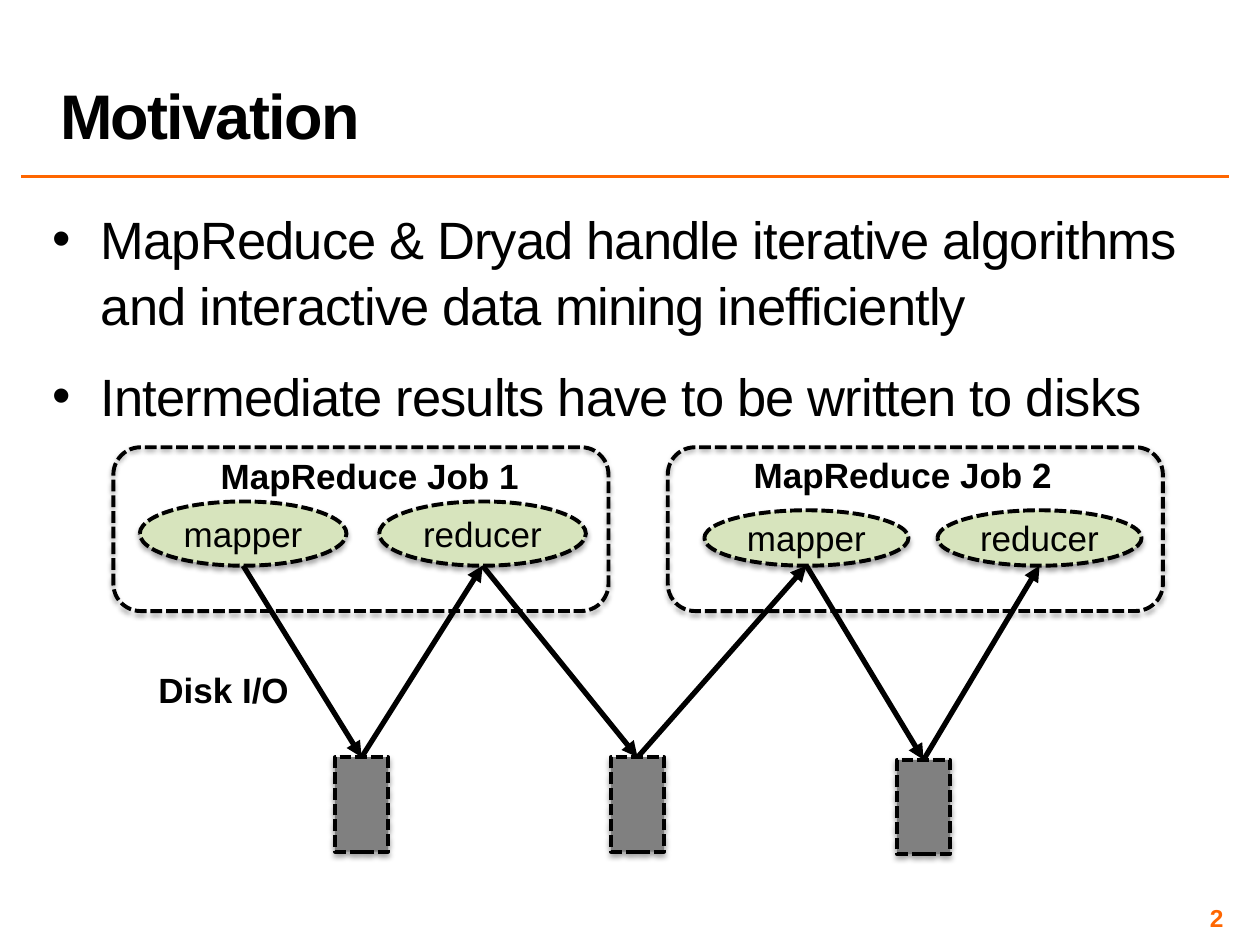
"""Build the Motivation slide on disk traffic between MapReduce jobs."""
import itertools

import pptx
import pptx.dml.color
import pptx.enum.dml
import pptx.enum.shapes
import pptx.enum.text
import pptx.oxml
import pptx.oxml.ns
import pptx.util

Inches = pptx.util.Inches
Pt = pptx.util.Pt
Align = pptx.enum.text.PP_ALIGN
Anchor = pptx.enum.text.MSO_ANCHOR
Shape = pptx.enum.shapes.MSO_SHAPE

BLACK = pptx.dml.color.RGBColor(0x00, 0x00, 0x00)
ORANGE = pptx.dml.color.RGBColor(0xFF, 0x66, 0x00)
GREEN = pptx.dml.color.RGBColor(0xD7, 0xE4, 0xBD)
GRAY = pptx.dml.color.RGBColor(0x80, 0x80, 0x80)

BULLETS = [
    "MapReduce & Dryad handle iterative algorithms and interactive data mining inefficiently",
    "Intermediate results have to be written to disks",
]
JOB_FRAMES = [(0.9, 3.55, 3.93, 1.3), (5.3, 3.55, 3.93, 1.3)]
STAGES = [
    ("mapper", (1.11, 3.98, 1.64, 0.51)),
    ("reducer", (3.01, 3.98, 1.64, 0.51)),
    ("mapper", (5.59, 4.05, 1.62, 0.44)),
    ("reducer", (7.44, 4.05, 1.62, 0.44)),
]
DISKS = [(2.66, 6.01, 0.42, 0.75), (4.85, 6.01, 0.42, 0.75), (7.12, 6.03, 0.42, 0.75)]


def add_xml(parent, tag, content="", attributes=""):
    """Append a DrawingML element to the parent."""
    namespace = pptx.oxml.ns.nsdecls("a")
    parent.append(pptx.oxml.parse_xml(f"<a:{tag} {namespace} {attributes}>{content}</a:{tag}>"))


def style_para(para, size, color=BLACK, bold=False, spacing=None):
    """Format every run of a paragraph, with letter spacing in points."""
    for run in para.runs:
        run.font.name = "Arial"
        run.font.size = Pt(size)
        run.font.bold = bold
        run.font.color.rgb = color
        if spacing:
            run.font._element.set("spc", str(int(spacing * 100)))


def add_text(page, area, text, size, align=Align.LEFT, anchor=Anchor.TOP,
             color=BLACK, bold=True, spacing=None, inset=None):
    """Add a wrapping text box with one paragraph per line of text."""
    box = page.shapes.add_textbox(*map(Inches, area))
    frame = box.text_frame
    frame.word_wrap = True
    frame.vertical_anchor = anchor
    if inset is not None:
        frame.margin_left = frame.margin_right = Inches(inset)
        frame.margin_top = frame.margin_bottom = Inches(inset)
    frame.text = text
    for para in frame.paragraphs:
        para.alignment = align
        style_para(para, size, color, bold, spacing)
    return frame


def add_bullets(page):
    """Add the bulleted statements."""
    frame = add_text(page, (0.38, 1.58, 9.37, 5.5), "\n".join(BULLETS), 30,
                     bold=False, spacing=-0.5, inset=0.04)
    for index, para in enumerate(frame.paragraphs):
        properties = para._p.get_or_add_pPr()
        properties.set("marL", str(Inches(0.38)))
        properties.set("indent", str(-Inches(0.38)))
        add_xml(properties, "buFont", attributes='typeface="Arial"')
        add_xml(properties, "buChar", attributes='char="•"')
        para.line_spacing = 1.05
        if index:
            para.space_before = Pt(14)


def add_dashed_shape(page, kind, area, fill=None, label=""):
    """Add a dashed shape with a soft shadow and an optional label."""
    shape = page.shapes.add_shape(kind, *map(Inches, area))
    if fill is None:
        shape.fill.background()
    else:
        shape.fill.solid()
        shape.fill.fore_color.rgb = fill
    shape.line.color.rgb = BLACK
    shape.line.width = Pt(2.25)
    shape.line.dash_style = pptx.enum.dml.MSO_LINE.SQUARE_DOT
    shape.shadow.inherit = False
    effects = shape._element.spPr.find(pptx.oxml.ns.qn("a:effectLst"))
    add_xml(effects, "outerShdw",
            '<a:srgbClr val="000000"><a:alpha val="35000"/></a:srgbClr>',
            f'blurRad="{Pt(3.1)}" dist="{Pt(1.8)}" dir="5400000" rotWithShape="0"')
    if label:
        frame = shape.text_frame
        frame.text = label
        frame.vertical_anchor = Anchor.MIDDLE
        frame.paragraphs[0].alignment = Align.CENTER
        style_para(frame.paragraphs[0], 20)


def add_line(page, start, end, color, width, arrow=False):
    """Add a straight line, optionally with an arrowhead at its end."""
    line = page.shapes.add_connector(
        pptx.enum.shapes.MSO_CONNECTOR.STRAIGHT, *map(Inches, (*start, *end)))
    line.line.color.rgb = color
    line.line.width = Pt(width)
    if arrow:
        add_xml(line.line._get_or_add_ln(), "tailEnd", attributes='type="triangle"')
    add_xml(line._element.spPr, "effectLst")


def add_data_flow(page):
    """Add arrows that go down to a disk and up to the next stage."""
    bottoms = [(left + width / 2, top + height) for _, (left, top, width, height) in STAGES]
    tops = [(left + width / 2, top) for left, top, width, _ in DISKS]
    for (source, target), disk in zip(itertools.pairwise(bottoms), tops):
        add_line(page, source, disk, BLACK, 3, arrow=True)
        add_line(page, disk, target, BLACK, 3, arrow=True)


def main():
    """Build and save the deck."""
    deck = pptx.Presentation()
    deck.slide_width, deck.slide_height = Inches(10), Inches(7.5)
    page = deck.slides.add_slide(deck.slide_layouts[6])

    add_line(page, (0.17, 1.4), (9.75, 1.4), ORANGE, 2)
    add_bullets(page)
    add_text(page, (7.42, 7.17, 2.33, 0.23), "2", 14, Align.RIGHT, Anchor.MIDDLE,
             ORANGE, inset=0.04)
    title = add_text(page, (0.38, 0.08, 9.37, 1.17), "Motivation", 36,
                     anchor=Anchor.BOTTOM, spacing=-1)
    title.paragraphs[0].line_spacing = 0.8

    add_text(page, (1.54, 3.56, 2.79, 0.44), "MapReduce Job 1", 20, Align.CENTER)
    add_text(page, (5.77, 3.55, 2.79, 0.44), "MapReduce Job 2", 20, Align.CENTER)
    for area in DISKS:
        add_dashed_shape(page, Shape.RECTANGLE, area, GRAY)
    for label, area in STAGES:
        add_dashed_shape(page, Shape.OVAL, area, GREEN, label)
    for area in JOB_FRAMES:
        add_dashed_shape(page, Shape.ROUNDED_RECTANGLE, area)
    add_data_flow(page)
    add_text(page, (1.07, 5.26, 1.41, 0.44), "Disk I/O", 20, Align.CENTER)

    deck.save("out.pptx")


if __name__ == "__main__":
    main()
